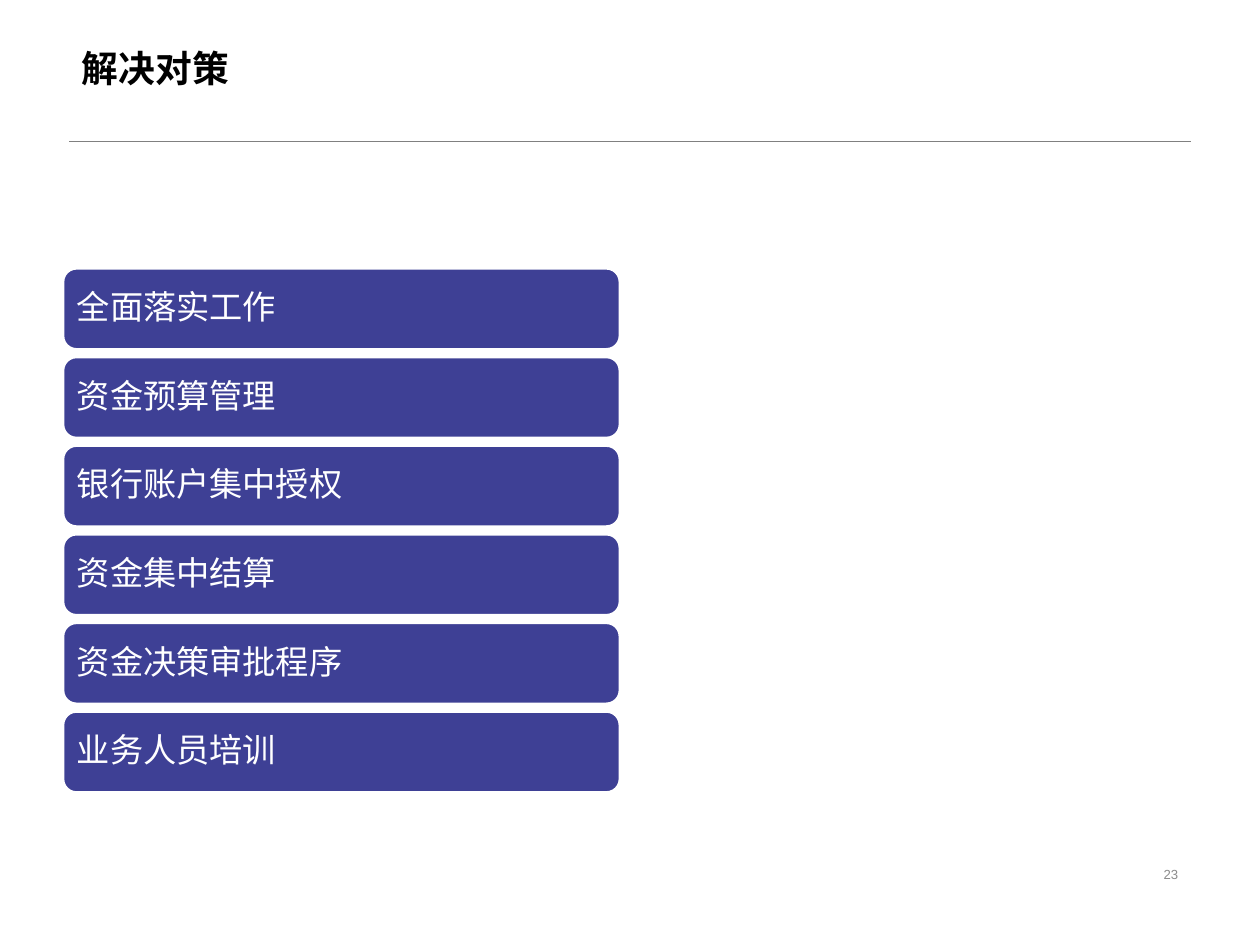
from pptx import Presentation
from pptx.dml.color import RGBColor
from pptx.enum.shapes import MSO_CONNECTOR, MSO_SHAPE
from pptx.enum.text import MSO_ANCHOR, PP_ALIGN
from pptx.oxml import parse_xml
from pptx.oxml.ns import nsdecls
from pptx.util import Inches, Pt

BLACK = RGBColor(0x00, 0x00, 0x00)
WHITE = RGBColor(0xFF, 0xFF, 0xFF)
BLUE = RGBColor(0x3E, 0x40, 0x95)
GRAY = RGBColor(0x80, 0x80, 0x80)
PALE = RGBColor(0x8C, 0x8C, 0x8C)

STEPS = ["全面落实工作", "资金预算管理", "银行账户集中授权",
         "资金集中结算", "资金决策审批程序", "业务人员培训"]


def write(shape, text, size, color, frame=None, para=None, bold=False):
    body = shape.text_frame
    body.text = text
    line = body.paragraphs[0]
    line.font.color.rgb = color
    looks = {"name": "Arial", "size": Pt(size), "bold": bold}
    base = {"word_wrap": True, "vertical_anchor": MSO_ANCHOR.MIDDLE}
    for part, values in ((body, base | (frame or {})),
                         (line, para or {}), (line.font, looks)):
        for key, value in values.items():
            setattr(part, key, value)


def add_head(slide, left, top, width, height):
    title = slide.shapes.title
    title.left, title.top = Inches(left), Inches(top)
    title.width, title.height = Inches(width), Inches(height)
    write(title, "解决对策", 21, BLACK, bold=True,
          para={"alignment": PP_ALIGN.LEFT, "line_spacing": 0.9})
    base = Inches(top + height)
    rule = slide.shapes.add_connector(
        MSO_CONNECTOR.STRAIGHT, Inches(left), base, Inches(left + width), base)
    rule.line.color.rgb = GRAY
    rule.line.width = Pt(0.25)
    rule._element.spPr.append(parse_xml(f"<a:effectLst {nsdecls('a')}/>"))


def add_steps(slide, left, top, width, height, gap=0.06):
    tall = (height + gap) / len(STEPS) - gap
    sides = ("left", "top", "right", "bottom")
    frame = {f"margin_{side}": Inches(0.08) for side in sides}
    para = {"alignment": PP_ALIGN.LEFT, "line_spacing": 0.9}
    for row, text in enumerate(STEPS):
        bar = slide.shapes.add_shape(
            MSO_SHAPE.ROUNDED_RECTANGLE, Inches(left),
            Inches(top + row * (tall + gap)), Inches(width), Inches(tall))
        bar.shadow.inherit = False
        bar.fill.solid()
        bar.fill.fore_color.rgb = BLUE
        bar.line.color.rgb = WHITE
        bar.line.width = Pt(1.5)
        write(bar, text, 19, WHITE, frame, para)


def add_foot(slide, left, top, width, height):
    box = slide.shapes.add_textbox(
        Inches(left), Inches(top), Inches(width), Inches(height))
    write(box, "23", 7.5, PALE, para={"alignment": PP_ALIGN.RIGHT})


def main():
    deck = Presentation()
    deck.slide_width, deck.slide_height = Inches(10), Inches(7.5)
    slide = deck.slides.add_slide(deck.slide_layouts[5])
    add_head(slide, 0.55, 0, 8.9, 1.12)
    add_steps(slide, 0.5, 2.13, 4.42, 4.16)
    add_foot(slide, 7.06, 6.82, 2.39, 0.23)
    deck.save("out.pptx")


if __name__ == "__main__":
    main()
